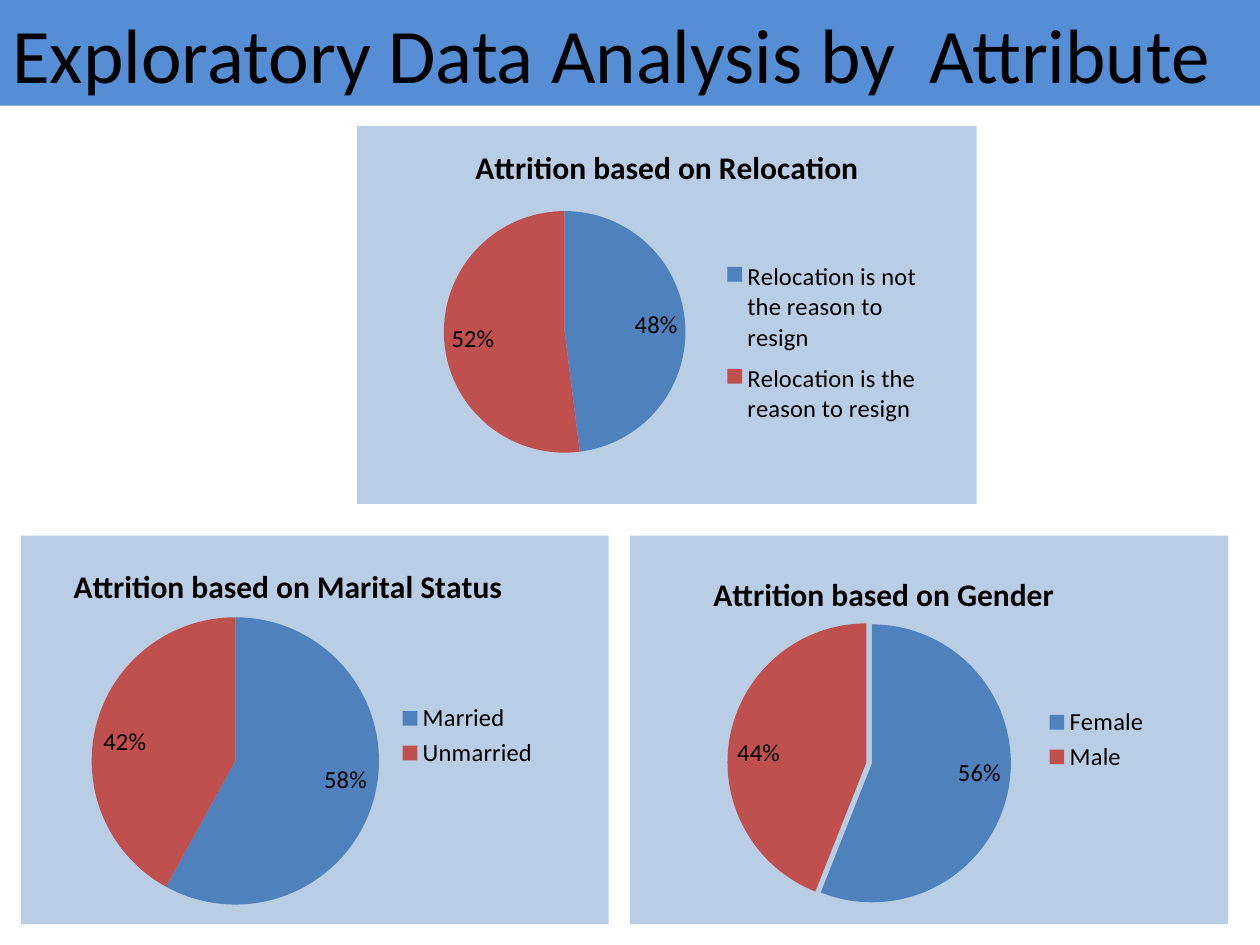
from lxml import etree
from pptx import Presentation
from pptx import util as u
from pptx.chart.data import CategoryChartData
from pptx.dml.color import RGBColor
from pptx.enum import chart as charts, text
from pptx.oxml import parse_xml
from pptx.oxml.ns import nsdecls, qn

FONT = "Calibri"
BLACK = "000000"
BAND = "558ED5"
PANEL = "B9CDE5"
SLICES = ["4F81BD", "C0504D"]


def color(value):
    return RGBColor.from_string(value)


def format_font(font, size, bold=False):
    font.name = FONT
    font.size = u.Pt(size)
    font.bold = bold
    font.color.rgb = color(BLACK)


def place(shape, left, top, width, height):
    shape.left, shape.top = u.Cm(left), u.Cm(top)
    shape.width, shape.height = u.Cm(width), u.Cm(height)


def add_title(slide, words):
    title = slide.shapes.title
    place(title, 0, 0, 25.4, 2.13)
    title.fill.solid()
    title.fill.fore_color.rgb = color(BAND)
    frame = title.text_frame
    frame.text = words
    frame.word_wrap = True
    frame.auto_size = text.MSO_AUTO_SIZE.NONE
    frame.vertical_anchor = text.MSO_ANCHOR.MIDDLE
    frame.margin_left = frame.margin_right = u.Cm(0.25)
    paragraph = frame.paragraphs[0]
    paragraph.alignment = text.PP_ALIGN.LEFT
    format_font(paragraph.runs[0].font, 44)


def make_layout(x, y, w=None, h=None, inner=False):
    layout = etree.Element(qn("c:layout"))
    manual = etree.SubElement(layout, qn("c:manualLayout"))
    values = [("layoutTarget", "inner" if inner else None),
              ("xMode", "edge"), ("yMode", "edge"),
              ("x", x), ("y", y), ("w", w), ("h", h)]
    for name, value in values:
        if value is not None:
            etree.SubElement(manual, qn(f"c:{name}")).set("val", str(value))
    return layout


def set_layout(element, layout, previous=None):
    for old in element.findall(qn("c:layout")):
        element.remove(old)
    if previous is None:
        element.insert(0, layout)
    else:
        element.find(qn(previous)).addnext(layout)


def fill_panel(chart):
    properties = parse_xml(
        f'<c:spPr {nsdecls("c", "a")}><a:solidFill><a:srgbClr val="{PANEL}"/>'
        '</a:solidFill><a:ln><a:noFill/></a:ln></c:spPr>')
    chart.element.find(qn("c:chart")).addnext(properties)


def explode(series, amount):
    explosion = etree.Element(qn("c:explosion"))
    explosion.set("val", str(amount))
    series._element.find(qn("c:dPt")).addprevious(explosion)


def add_pie(slide, heading, shares, box, plot_box, legend_box,
            heading_at=None, explosion=0):
    data = CategoryChartData()
    data.categories = list(shares)
    data.add_series("Series 1", list(shares.values()))
    chart = slide.shapes.add_chart(
        charts.XL_CHART_TYPE.PIE, *[u.Cm(length) for length in box], data).chart
    format_font(chart.font, 10)
    fill_panel(chart)

    chart.has_title = True
    chart.chart_title.include_in_layout = False
    frame = chart.chart_title.text_frame
    frame.text = heading
    format_font(frame.paragraphs[0].runs[0].font, 18, bold=True)

    chart.has_legend = True
    chart.legend.position = charts.XL_LEGEND_POSITION.RIGHT
    chart.legend.include_in_layout = False
    format_font(chart.legend.font, 14)

    plot = chart.plots[0]
    plot.vary_by_categories = True
    series = plot.series[0]
    for index, value in enumerate(SLICES):
        fill = series.points[index].format.fill
        fill.solid()
        fill.fore_color.rgb = color(value)
    if explosion:
        explode(series, explosion)
    labels = series.data_labels
    labels.show_percentage = True
    labels.show_value = False
    labels.number_format = "0%"
    labels.number_format_is_linked = False
    labels.position = charts.XL_LABEL_POSITION.INSIDE_END
    format_font(labels.font, 14)

    body = chart.element.find(qn("c:chart"))
    set_layout(body.find(qn("c:plotArea")), make_layout(*plot_box, inner=True))
    set_layout(body.find(qn("c:legend")), make_layout(*legend_box), "c:legendPos")
    if heading_at:
        set_layout(body.find(qn("c:title")), make_layout(*heading_at), "c:tx")


def main():
    presentation = Presentation()
    presentation.slide_width = u.Cm(25.4)
    presentation.slide_height = u.Cm(19.05)
    slide = presentation.slides.add_slide(presentation.slide_layouts[5])
    add_pie(slide, "Attrition based on Marital Status",
            {"Married": 58, "Unmarried": 42},
            (0.42, 10.8, 11.85, 7.83), (0.12, 0.21, 0.49, 0.74),
            (0.63, 0.42, 0.26, 0.19), heading_at=(0.08, 0.06))
    add_pie(slide, "Attrition based on Relocation",
            {"Relocation is not the reason to resign": 48,
             "Relocation is the reason to resign": 52},
            (7.2, 2.54, 12.49, 7.62), (0.14, 0.22, 0.39, 0.65),
            (0.58, 0.33, 0.34, 0.49))
    add_pie(slide, "Attrition based on Gender",
            {"Female": 56, "Male": 44},
            (12.7, 10.8, 12.06, 7.83), (0.16, 0.22, 0.48, 0.73),
            (0.68, 0.43, 0.2, 0.19), heading_at=(0.13, 0.08), explosion=2)
    add_title(slide, "Exploratory Data Analysis by  Attribute")
    presentation.save("out.pptx")


if __name__ == "__main__":
    main()
